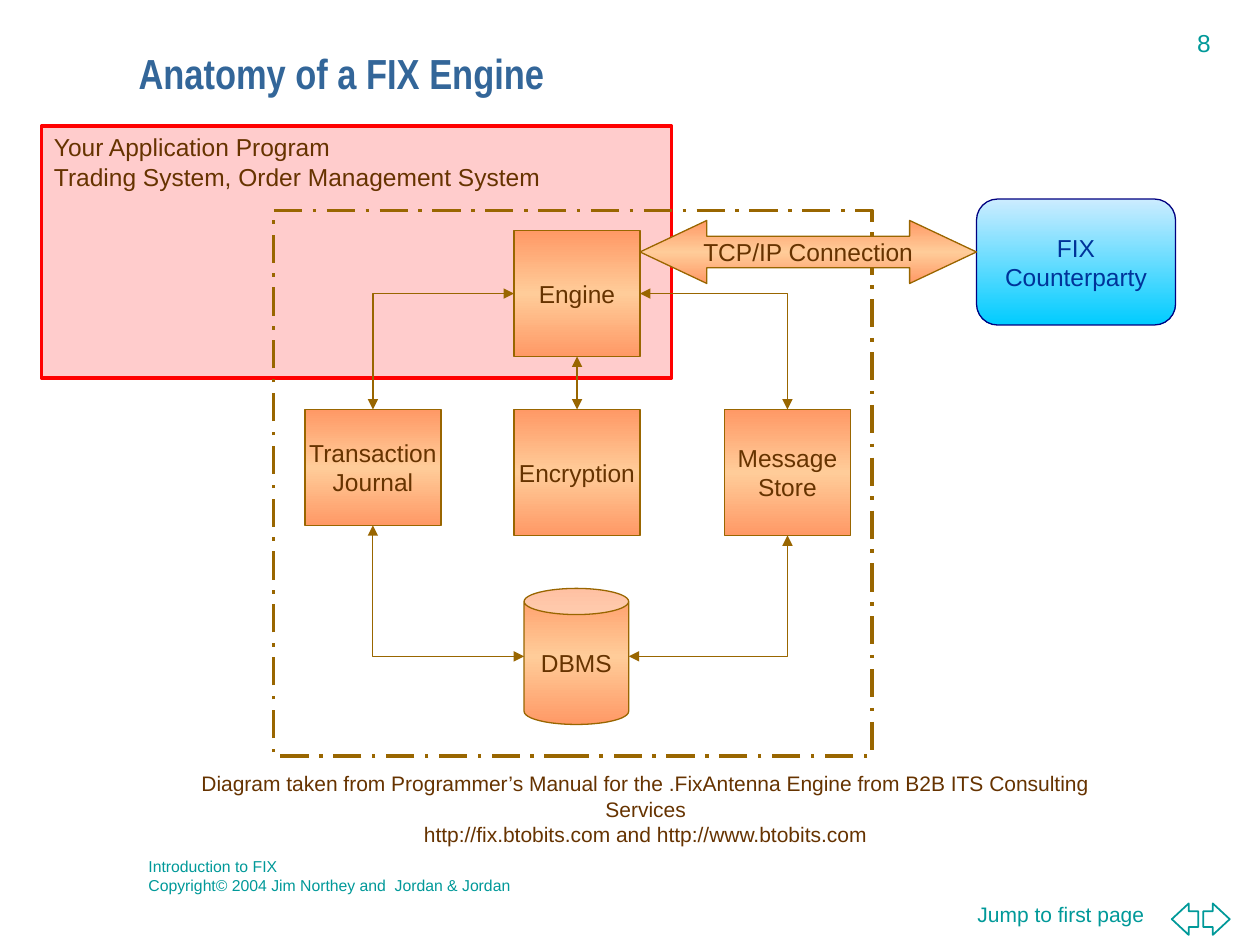
from lxml.etree import SubElement
from pptx import Presentation
from pptx.dml.color import RGBColor
from pptx.enum.dml import MSO_LINE
from pptx.enum.shapes import MSO_CONNECTOR as Link, MSO_SHAPE as Shape
from pptx.enum.text import MSO_ANCHOR as Anchor, MSO_AUTO_SIZE, PP_ALIGN as Align
from pptx.oxml.ns import qn
from pptx.util import Inches, Pt

COLORS = {
    "title": "336699", "teal": "009999", "white": "FFFFFF",
    "pink": "FFCCCC", "red": "FF0000", "brown": "663300", "bronze": "996600",
    "orange": "FF9966", "peach": "FFCC99", "ice": "CCECFF", "cyan": "00CCFF",
    "navy": "000080", "blue": "003399",
}
MODULE_STOPS = [(0, "orange"), (50, "peach"), (100, "orange")]
PARTY_STOPS = [(0, "ice"), (100, "cyan")]
TOP, LEFT, BOTTOM, RIGHT = range(4)


def rgb(name):
    """Look up a palette colour."""
    return RGBColor.from_string(COLORS[name])


def write(shape, text, size, color, align=Align.LEFT, anchor=Anchor.TOP,
          wrap=False, font="Arial", bold=False):
    """Set and format the text of a shape."""
    frame = shape.text_frame
    frame.text = text
    frame.word_wrap = wrap
    frame.vertical_anchor = anchor
    for paragraph in frame.paragraphs:
        paragraph.alignment = align
        for run in paragraph.runs:
            run.font.name, run.font.size, run.font.bold = font, Pt(size), bold
            run.font.color.rgb = rgb(color)


def add_text(slide, box, text, size, color, **layout):
    """Add a text box."""
    label = slide.shapes.add_textbox(*map(Inches, box))
    write(label, text, size, color, **layout)


def add_outline(slide, kind, box, line, width, fill=None, adjustments=()):
    """Add a preset shape with a solid fill or none."""
    shape = slide.shapes.add_shape(kind, *map(Inches, box))
    shape.shadow.inherit = False
    shape.line.color.rgb = rgb(line)
    shape.line.width = Pt(width)
    if fill:
        shape.fill.solid()
        shape.fill.fore_color.rgb = rgb(fill)
    else:
        shape.fill.background()
    for index, value in enumerate(adjustments):
        shape.adjustments[index] = value
    return shape


def add_module(slide, kind, box, text, stops=MODULE_STOPS, line="bronze",
               color="brown", adjustments=()):
    """Add a labelled shape with a vertical gradient."""
    module = add_outline(slide, kind, box, line, 0.75, adjustments=adjustments)
    module.fill.gradient()
    module.fill.gradient_angle = 270
    stop_list = module._element.spPr.find(qn("a:gradFill")).find(qn("a:gsLst"))
    for stop in list(stop_list):
        stop_list.remove(stop)
    for position, name in stops:
        stop = SubElement(stop_list, qn("a:gs"), pos=str(position * 1000))
        SubElement(stop, qn("a:srgbClr"), val=COLORS[name])
    write(module, text, 14, color, Align.CENTER, Anchor.MIDDLE)
    return module


def add_link(slide, kind, start, start_site, end, end_site):
    """Join two modules with a double-headed connector."""
    link = slide.shapes.add_connector(kind, 0, 0, 0, 0)
    link.begin_connect(start, start_site)
    link.end_connect(end, end_site)
    link.line.color.rgb = rgb("bronze")
    link.line.width = Pt(0.75)
    if kind == Link.ELBOW:
        link._element.spPr.find(qn("a:prstGeom")).set("prst", "bentConnector2")
    outline = link.line._get_or_add_ln()
    for end_name in ("a:headEnd", "a:tailEnd"):
        SubElement(outline, qn(end_name), type="triangle")
    SubElement(link._element.spPr, qn("a:effectLst"))
    return link


def add_title(slide, box):
    """Place the title placeholder."""
    title = slide.shapes.title
    title.left, title.top, title.width, title.height = map(Inches, box)
    write(title, "Anatomy of a FIX Engine", 24, "title", anchor=Anchor.MIDDLE,
          wrap=True, font="Arial Narrow", bold=True)
    title.text_frame.auto_size = MSO_AUTO_SIZE.NONE
    title.text_frame.paragraphs[0].line_spacing = 0.7


def add_application(slide, box):
    """Draw the application program area."""
    application = add_outline(slide, Shape.RECTANGLE, box, "red", 2, "pink")
    write(application, "Your Application Program\n"
          "Trading System, Order Management System", 14, "brown")


def add_engine_diagram(slide, box):
    """Draw the dashed engine frame with its linked modules."""
    left, top, width, height = box
    frame = add_outline(slide, Shape.RECTANGLE, box, "bronze", 2)
    frame.line.dash_style = MSO_LINE.LONG_DASH_DOT

    row = top + 1.58
    middle = left + 1.91
    journal = add_module(slide, Shape.RECTANGLE, (left + 0.25, row, 1.08, 0.92),
                         "Transaction\nJournal")
    dbms = add_module(slide, Shape.CAN, (middle + 0.08, top + 3, 0.83, 1.08),
                      "DBMS", adjustments=[0.25])
    engine = add_module(slide, Shape.RECTANGLE, (middle, top + 0.16, 1, 1), "Engine")
    encryption = add_module(slide, Shape.RECTANGLE, (middle, row, 1, 1), "Encryption")
    store = add_module(slide, Shape.RECTANGLE, (left + 3.58, row, 1, 1),
                       "Message\nStore")

    add_link(slide, Link.STRAIGHT, engine, BOTTOM, encryption, TOP)
    can_left, can_right = 2, 4
    for module, side, can_side, can_x in (
            (journal, LEFT, can_left, dbms.left),
            (store, RIGHT, can_right, dbms.left + dbms.width)):
        add_link(slide, Link.ELBOW, engine, side, module, TOP)
        link = add_link(slide, Link.ELBOW, dbms, BOTTOM, module, BOTTOM)
        link.begin_x = can_x
        link.begin_y = dbms.top + dbms.height // 2
        link._element.find(".//" + qn("a:stCxn")).set("id", str(dbms.shape_id))
        link._element.find(".//" + qn("a:stCxn")).set("idx", str(can_side))


def add_counterparty(slide, box):
    """Draw the connection arrow and the counterparty at its right end."""
    left, top, width, height = box
    party_width, arrow_width = 1.58, width - 1.58
    add_module(slide, Shape.ROUNDED_RECTANGLE,
               (left + arrow_width, top, party_width, height), "FIX\nCounterparty",
               PARTY_STOPS, "navy", "blue", [0.167])
    add_module(slide, Shape.LEFT_RIGHT_ARROW, (left, top + 0.17, arrow_width, 0.5),
               "TCP/IP Connection", adjustments=[0.5, 1.06])


def add_credit(slide, box):
    """Write the diagram's reference."""
    add_text(slide, box, "Diagram taken from Programmer’s Manual for the "
             ".FixAntenna Engine from B2B ITS Consulting Services\n"
             "http://fix.btobits.com and http://www.btobits.com",
             12, "brown", align=Align.CENTER, wrap=True)


def add_footer(slide, box):
    """Write the copyright and draw the page navigation."""
    left, top, width, height = box
    add_text(slide, (left, top, 6.92, 0.4),
             "Introduction to FIX \vCopyright© 2004 Jim Northey and  Jordan & Jordan",
             9, "teal", wrap=True)
    add_text(slide, (left + 6.58, top + 0.36, 1.67, 0.46), "Jump to first page",
             12, "teal", wrap=True)
    for index, kind in enumerate((Shape.LEFT_ARROW, Shape.RIGHT_ARROW)):
        add_outline(slide, kind, (left + 8.22 + 0.25 * index, top + 0.42, 0.21, 0.25),
                    "teal", 1, "white", [0.5, 0.64])


def main():
    """Build the slide."""
    deck = Presentation()
    deck.slide_width, deck.slide_height = Inches(10), Inches(7.5)
    slide = deck.slides.add_slide(deck.slide_layouts[5])
    add_title(slide, (1, 0.25, 8.67, 0.75))
    add_text(slide, (9.01, 0.17, 1.09, 0.34), "8", 14, "teal", align=Align.CENTER)
    add_footer(slide, (1.08, 6.75, 8.68, 0.75))
    add_application(slide, (0.33, 1, 5, 2))
    add_engine_diagram(slide, (2.17, 1.67, 4.75, 4.33))
    add_counterparty(slide, (5.08, 1.58, 4.25, 1))
    add_credit(slide, (1.16, 6.07, 7.93, 0.7))
    deck.save("out.pptx")


if __name__ == "__main__":
    main()
